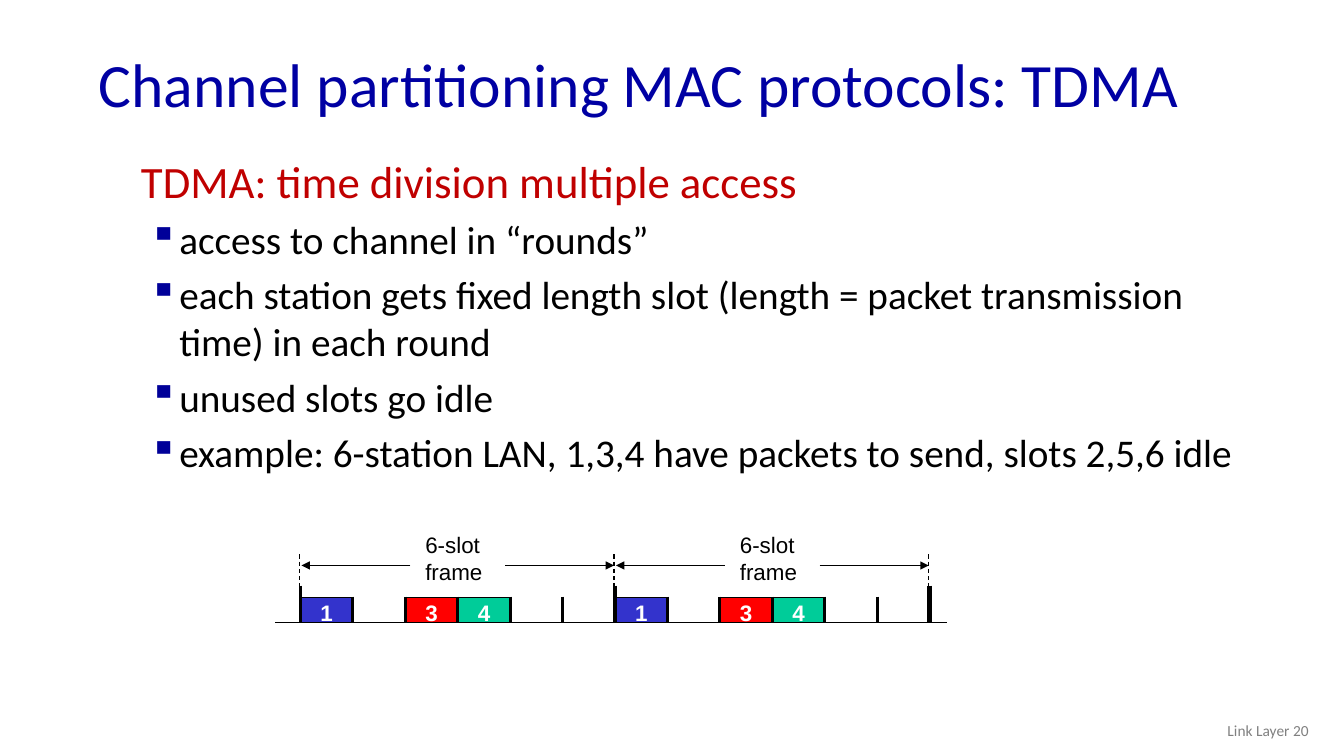
from lxml.etree import SubElement
from pptx import Presentation
from pptx.dml.color import RGBColor
from pptx.enum.dml import MSO_LINE_DASH_STYLE as Dash
from pptx.enum.shapes import MSO_CONNECTOR as Connector, MSO_SHAPE as Shape
from pptx.enum.text import MSO_ANCHOR as Anchor, MSO_AUTO_SIZE as AutoSize, PP_ALIGN as Align
from pptx.oxml.ns import qn
from pptx.util import Emu, Pt

PX = 9144
NAVY = RGBColor(0x00, 0x00, 0xA3)
BULLET = RGBColor(0x00, 0x00, 0x99)
CRIMSON = RGBColor(0xC0, 0x00, 0x00)
BLACK = RGBColor(0x00, 0x00, 0x00)
WHITE = RGBColor(0xFF, 0xFF, 0xFF)
GRAY = RGBColor(0x80, 0x80, 0x80)
BLUE = RGBColor(0x33, 0x33, 0xCC)
RED = RGBColor(0xFF, 0x00, 0x00)
GREEN = RGBColor(0x00, 0xCC, 0x99)

TITLE = {"name": "Calibri", "size": Pt(44), "color": NAVY}
HEADING = {"name": "Calibri", "size": Pt(32), "color": CRIMSON}
BODY = {"name": "Calibri", "size": Pt(28), "color": BLACK}
FOOTER = {"name": "Calibri", "size": Pt(11), "color": GRAY}
SLOT_NUMBER = {"name": "Arial", "size": Pt(16), "bold": True, "color": WHITE}
FRAME_LABEL = {"name": "Arial", "size": Pt(16), "color": BLACK}

POINTS = [
    "access to channel in “rounds”",
    "each station gets fixed length slot (length = packet transmission time) in each round",
    "unused slots go idle",
    "example: 6-station LAN, 1,3,4 have packets to send, slots 2,5,6 idle",
]
BUSY_SLOTS = {1: BLUE, 3: RED, 4: GREEN}
SLOTS = 6
SLOT_WIDTH = 52
FRAME_WIDTH = SLOTS * SLOT_WIDTH
FIRST_FRAME = 298
FRAMES = [FIRST_FRAME, FIRST_FRAME + FRAME_WIDTH]
BASELINE = 618
ARROW_Y = 561


def px(*lengths):
    return [Emu(length * PX) for length in lengths]


class SlideBuilder:
    def __init__(self, presentation):
        self.slide = presentation.slides.add_slide(presentation.slide_layouts[5])
        self.shapes = self.slide.shapes

    def fill_paragraph(self, paragraph, text, style, **layout):
        for name, value in layout.items():
            setattr(paragraph, name, value)
        run = paragraph.add_run()
        run.text = text
        for name, value in style.items():
            if name == "color":
                run.font.color.rgb = value
            else:
                setattr(run.font, name, value)

    def title(self, text, *box):
        shape = self.shapes.title
        shape.left, shape.top, shape.width, shape.height = px(*box)
        frame = shape.text_frame
        frame.auto_size = AutoSize.NONE
        frame.vertical_anchor = Anchor.MIDDLE
        self.fill_paragraph(frame.paragraphs[0], text, TITLE,
                            alignment=Align.LEFT, line_spacing=0.9)

    def text(self, lines, style, *box, wrap=True, anchor=Anchor.TOP, **layout):
        frame = self.shapes.add_textbox(*px(*box)).text_frame
        frame.word_wrap = wrap
        frame.vertical_anchor = anchor
        for index, line in enumerate(lines):
            paragraph = frame.add_paragraph() if index else frame.paragraphs[0]
            self.fill_paragraph(paragraph, line, style, **layout)
        return frame

    def bullets(self, heading, points, *box):
        frame = self.text([heading], HEADING, *box, line_spacing=0.75, space_before=Pt(6))
        for point in points:
            paragraph = frame.add_paragraph()
            self.fill_paragraph(paragraph, point, BODY, space_before=Pt(6))
            properties = paragraph._p.get_or_add_pPr()
            properties.set("marL", str(38 * PX))
            properties.set("indent", str(-30 * PX))
            color = SubElement(properties, qn("a:buClr"))
            SubElement(color, qn("a:srgbClr"), val=str(BULLET))
            SubElement(properties, qn("a:buChar"), char="▪")

    def block(self, fill, *box):
        shape = self.shapes.add_shape(Shape.RECTANGLE, *px(*box))
        shape.shadow.inherit = False
        shape.fill.solid()
        shape.fill.fore_color.rgb = fill
        shape.line.color.rgb = BLACK
        shape.line.width = Pt(0.75)

    def line(self, *ends, width=0.75, dash=None, arrow=False):
        connector = self.shapes.add_connector(Connector.STRAIGHT, *px(*ends))
        connector.line.color.rgb = BLACK
        connector.line.width = Pt(width)
        properties = connector._element.spPr
        if dash:
            connector.line.dash_style = dash
        if arrow:
            SubElement(properties.find(qn("a:ln")), qn("a:tailEnd"), type="triangle")
        SubElement(properties, qn("a:effectLst"))

    def time_frame(self, left):
        for number, fill in BUSY_SLOTS.items():
            slot_left = left + (number - 1) * SLOT_WIDTH
            self.block(fill, slot_left, 593, SLOT_WIDTH, 25)
            self.text([str(number)], SLOT_NUMBER, slot_left + 10, 589, 32, 37, wrap=False)
        for slot in range(1, SLOTS):
            x = left + slot * SLOT_WIDTH
            self.line(x, 592, x, BASELINE, width=2.25)
        self.text(["6-slot", "frame"], FRAME_LABEL, left + 114, 522, 77, 64, wrap=False)
        self.line(left + 203, ARROW_Y, left + FRAME_WIDTH - 1, ARROW_Y, arrow=True)
        self.line(left + 109, ARROW_Y, left + 1, ARROW_Y, arrow=True)

    def frame_boundary(self, x, width):
        self.line(x, 581, x, BASELINE, width=width)
        self.line(x - 1, 550, x - 1, 583, dash=Dash.DASH)


def main():
    presentation = Presentation()
    presentation.slide_width, presentation.slide_height = px(1333, 750)
    builder = SlideBuilder(presentation)
    builder.title("Channel partitioning MAC protocols: TDMA", 88, 38, 1150, 98)
    builder.bullets("TDMA: time division multiple access", POINTS, 130, 160, 1119, 320)
    builder.line(273, BASELINE, 939, BASELINE)
    for left in FRAMES:
        builder.time_frame(left)
    for x, width in zip(FRAMES + [FRAMES[-1] + FRAME_WIDTH], (2.25, 3, 3)):
        builder.frame_boundary(x, width)
    builder.text(["Link Layer 20"], FOOTER, 1008, 705, 300, 40,
                 anchor=Anchor.MIDDLE, alignment=Align.RIGHT)
    presentation.save("out.pptx")


if __name__ == "__main__":
    main()
